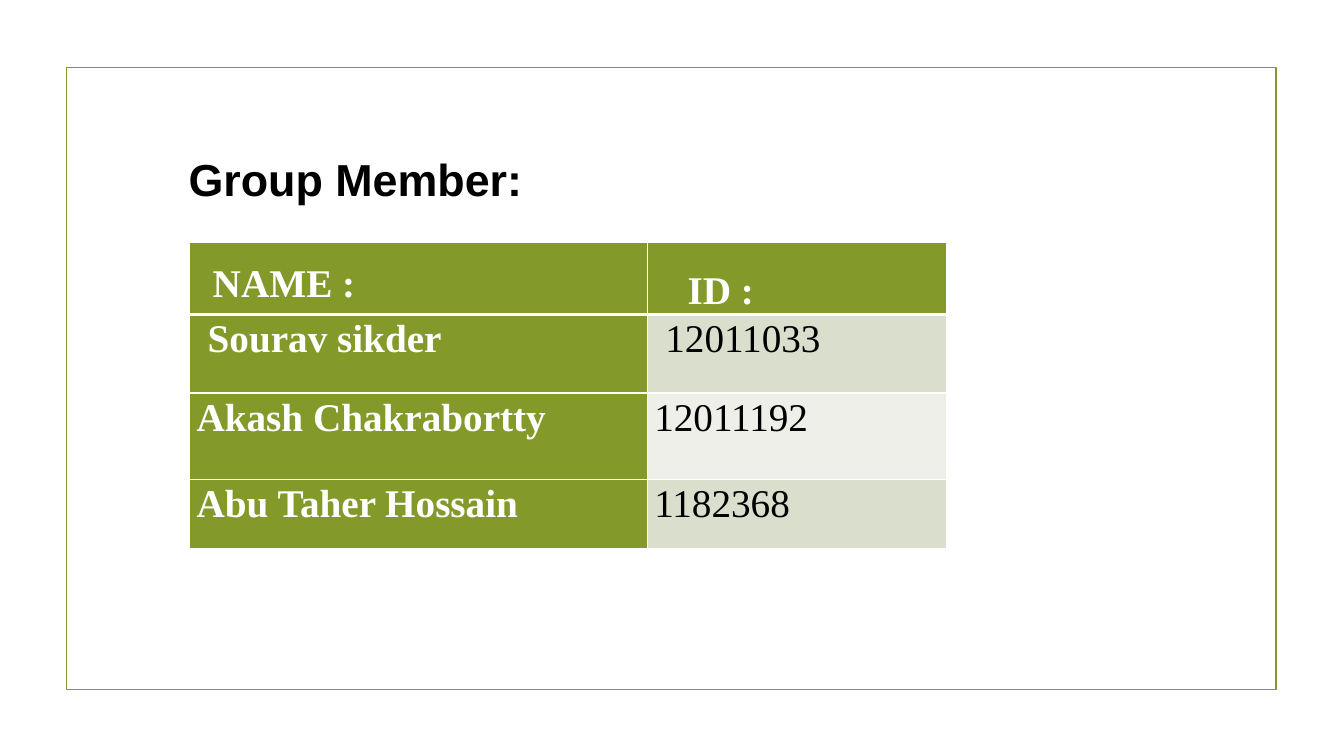
from lxml import etree
from pptx import Presentation
from pptx.dml.color import RGBColor
from pptx.enum import shapes, text
from pptx.oxml.ns import qn
from pptx.util import Inches, Pt

OLIVE = RGBColor(0x83, 0x99, 0x2A)
BAND_DARK = RGBColor(0xD9, 0xDE, 0xCD)
BAND_LIGHT = RGBColor(0xED, 0xEF, 0xE8)
WHITE = RGBColor(0xFF, 0xFF, 0xFF)
BLACK = RGBColor(0, 0, 0)


def add_borders(cell, bottom_width):
    """Draw white cell borders, 1 pt wide except at the bottom."""
    properties = cell._tc.get_or_add_tcPr()
    widths = {"a:lnL": 1, "a:lnR": 1, "a:lnT": 1, "a:lnB": bottom_width}
    for position, (tag, width) in enumerate(widths.items()):
        line = etree.Element(qn(tag), w=str(Pt(width)))
        fill = etree.SubElement(line, qn("a:solidFill"))
        etree.SubElement(fill, qn("a:srgbClr"), val=str(WHITE))
        properties.insert(position, line)


presentation = Presentation()
presentation.slide_width = Inches(13.33)
presentation.slide_height = Inches(7.5)
slide = presentation.slides.add_slide(presentation.slide_layouts[5])

frame = slide.shapes.add_shape(
    shapes.MSO_SHAPE.RECTANGLE, Inches(0.66), Inches(0.67), Inches(12), Inches(6.17))
frame.shadow.inherit = False
frame.fill.background()
frame.line.color.rgb = OLIVE
frame.line.width = Pt(1.25)

heading = slide.shapes.title
heading.left, heading.top = Inches(1.77), Inches(1.45)
heading.width, heading.height = Inches(6.5), Inches(0.64)
heading.text_frame.text = "Group Member:"
heading.text_frame.vertical_anchor = text.MSO_ANCHOR.MIDDLE
heading_line = heading.text_frame.paragraphs[0]
heading_line.alignment = text.PP_ALIGN.LEFT
heading_line.font.name = "Arial"
heading_line.font.size = Pt(32)
heading_line.font.bold = True
heading_line.font.color.rgb = BLACK

members = [
    ("NAME :", "ID :"),
    ("Sourav sikder", "12011033"),
    ("Akash Chakrabortty", "12011192"),
    ("Abu Taher Hossain", "1182368"),
]
row_heights = [0.72, 0.78, 0.86, 0.68]
column_widths = [4.54, 2.97]
indents = {(0, 0): 0.16, (0, 1): 0.33, (1, 0): 0.11, (1, 1): 0.11}
header_tops = [0.2, 0.27]

member_table = slide.shapes.add_table(
    len(members), len(column_widths), Inches(1.88), Inches(2.4),
    Inches(sum(column_widths)), Inches(sum(row_heights))).table
for column, width in zip(member_table.columns, column_widths):
    column.width = Inches(width)

for row, (member, height) in enumerate(zip(members, row_heights)):
    member_table.rows[row].height = Inches(height)
    is_header = row == 0
    for column, entry in enumerate(member):
        cell = member_table.cell(row, column)
        is_olive = is_header or column == 0
        cell.margin_left = Inches(0.07 + indents.get((row, column), 0))
        cell.margin_right = Inches(0.07)
        cell.margin_top = Inches(header_tops[column] if is_header else 0)
        cell.margin_bottom = 0
        cell.fill.solid()
        cell.fill.fore_color.rgb = (
            OLIVE if is_olive else BAND_DARK if row % 2 else BAND_LIGHT)
        add_borders(cell, 3 if is_header else 1)
        cell.text = entry
        paragraph = cell.text_frame.paragraphs[0]
        paragraph.line_spacing = 1.0 if is_header else 1.07
        paragraph.font.name = "Times New Roman"
        paragraph.font.size = Pt(28)
        paragraph.font.bold = is_olive
        paragraph.font.color.rgb = WHITE if is_olive else BLACK

presentation.save("out.pptx")
